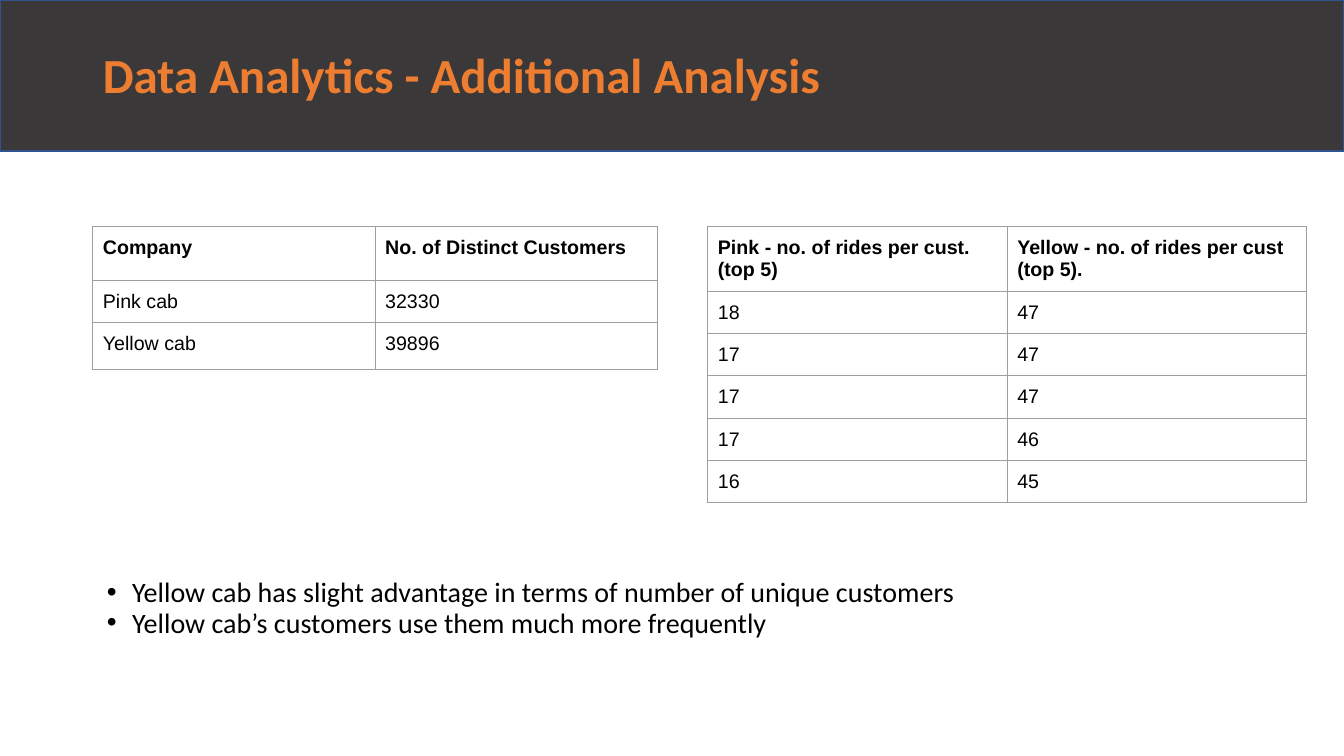
from lxml import etree
from pptx import Presentation
from pptx.dml.color import RGBColor
from pptx.enum.shapes import MSO_SHAPE
from pptx.enum.text import MSO_ANCHOR, MSO_AUTO_SIZE, PP_ALIGN
from pptx.oxml.ns import qn
from pptx.util import Pt

PX = 9144
RECT = MSO_SHAPE.RECTANGLE
TOP, MIDDLE = MSO_ANCHOR.TOP, MSO_ANCHOR.MIDDLE
FIXED = MSO_AUTO_SIZE.NONE
LEFT = PP_ALIGN.LEFT
COLORS = {
    "bar": "3A3838",
    "edge": "31538F",
    "title": "ED7D31",
    "text": "000000",
    "grid": "9E9E9E",
}
CLIENTS = [
    ("Company", "No. of Distinct Customers"),
    ("Pink cab", "32330"),
    ("Yellow cab", "39896"),
]
RIDES = [
    ("Pink - no. of rides per cust. (top 5)", "Yellow - no. of rides per cust (top 5)."),
    ("18", "47"),
    ("17", "47"),
    ("17", "47"),
    ("17", "46"),
    ("16", "45"),
]
POINTS = [
    "Yellow cab has slight advantage in terms of number of unique customers",
    "Yellow cab’s customers use them much more frequently",
]


def px(*sizes):
    """Turn pixel lengths into EMU."""
    return [size * PX for size in sizes]


def color(name):
    """Return the named colour."""
    return RGBColor.from_string(COLORS[name])


def write(para, text, size=14, font="Arial", tint="text", bold=False, lead=1.0):
    """Put formatted text in a paragraph."""
    para.alignment = LEFT
    para.line_spacing = lead
    para.space_before = Pt(0)
    run = para.add_run()
    run.text = text
    run.font.size = Pt(size)
    run.font.name = font
    run.font.bold = bold
    run.font.color.rgb = color(tint)


def place(holder, box, anchor):
    """Move a placeholder and return its text frame."""
    holder.left, holder.top, holder.width, holder.height = px(*box)
    frame = holder.text_frame
    frame.auto_size = FIXED
    frame.word_wrap = True
    frame.vertical_anchor = anchor
    frame.margin_left, frame.margin_right = px(10, 10)
    frame.margin_top, frame.margin_bottom = px(5, 5)
    return frame


def add_bar(slide):
    """Draw the header bar behind the title."""
    bar = slide.shapes.add_shape(RECT, *px(0, 0, 1333, 150))
    bar.shadow.inherit = False
    bar.fill.solid()
    bar.fill.fore_color.rgb = color("bar")
    bar.line.color.rgb = color("edge")
    bar.line.width = Pt(1)
    slide.shapes.title.element.addprevious(bar.element)


def add_edges(cell):
    """Draw thin lines on all four sides of a cell."""
    props = cell._tc.get_or_add_tcPr()
    for spot, side in enumerate(("lnL", "lnR", "lnT", "lnB")):
        line = etree.Element(qn(f"a:{side}"), w=str(Pt(0.75)))
        fill = etree.SubElement(line, qn("a:solidFill"))
        etree.SubElement(fill, qn("a:srgbClr"), val=COLORS["grid"])
        props.insert(spot, line)


def add_grid(slide, left, top, width, heights, rows):
    """Add a plain table with a bold first row."""
    count = len(rows[0])
    box = px(left, top, width * count, sum(heights))
    table = slide.shapes.add_table(len(rows), count, *box).table
    table.first_row = table.horz_banding = False
    for col in table.columns:
        col.width = width * PX
    for i, (row, high) in enumerate(zip(rows, heights)):
        table.rows[i].height = high * PX
        for j, text in enumerate(row):
            cell = table.cell(i, j)
            cell.fill.background()
            cell.margin_left, cell.margin_right = px(10, 10)
            cell.margin_top, cell.margin_bottom = px(10, 10)
            write(cell.text_frame.paragraphs[0], text, bold=i == 0)
            add_edges(cell)


def add_list(holder, box, points):
    """Fill the body placeholder with bullets."""
    frame = place(holder, box, TOP)
    for i, point in enumerate(points):
        para = frame.add_paragraph() if i else frame.paragraphs[0]
        write(para, point, size=20, font="Calibri", lead=0.9)
        props = para._p.get_or_add_pPr()
        props.set("marL", str(25 * PX))
        props.set("indent", str(-25 * PX))
        tint = etree.SubElement(props, qn("a:buClr"))
        etree.SubElement(tint, qn("a:srgbClr"), val=COLORS["text"])
        etree.SubElement(props, qn("a:buFont"), typeface="Arial")
        etree.SubElement(props, qn("a:buChar"), char="•")


def main():
    """Build and save the slide."""
    deck = Presentation()
    deck.slide_width, deck.slide_height = px(1333, 750)
    slide = deck.slides.add_slide(deck.slide_layouts[1])
    add_bar(slide)
    frame = place(slide.shapes.title, (92, 5, 1150, 145), MIDDLE)
    write(frame.paragraphs[0], "Data Analytics - Additional Analysis",
          size=35, font="Calibri", tint="title", bold=True, lead=0.9)
    add_grid(slide, 92, 225, 280, [53, 42, 47], CLIENTS)
    add_grid(slide, 702, 225, 297, [64] + [42] * 5, RIDES)
    add_list(slide.placeholders[1], (96, 569, 1142, 120), POINTS)
    deck.save("out.pptx")


if __name__ == "__main__":
    main()
